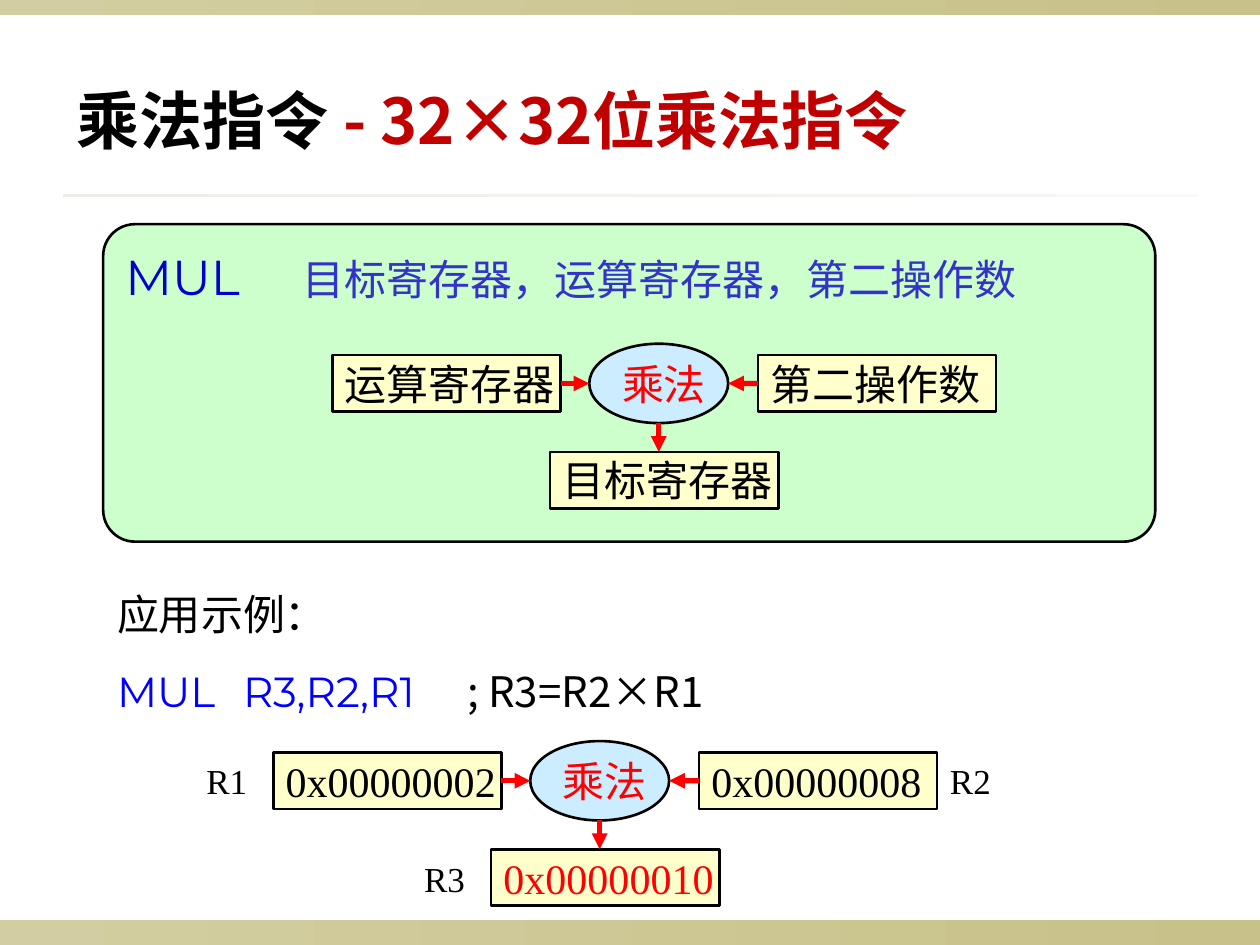
from pptx import Presentation
from pptx import util as u
from pptx.dml import color
from pptx.enum import shapes, text
from pptx.oxml import xmlchemy as x
from lxml import etree

Cm, Pt = u.Cm, u.Pt
A = "{http://schemas.openxmlformats.org/drawingml/2006/main}"
SANS, SERIF, LATIN = "Noto Sans CJK SC", "Times New Roman", "Montserrat"
COLORS = {
    "band_start": "D3CEA1", "band_end": "C8C18A",
    "rule_start": "EEECE6", "rule_end": "F8F7F5",
    "black": "000000", "title_red": "C00000", "red": "FF0000",
    "panel": "CCFFCC", "box": "FFFFCC", "oval": "CCECFF",
    "mnemonic": "0000CC", "operands": "3333CC", "code": "0000FF",
}


def rgb(name):
    return color.RGBColor.from_string(COLORS[name])


def sub(parent, tag, **attrs):
    return etree.SubElement(parent, A + tag, attrs)


def add_run(p, words, size, font, ink, bold=False):
    r = p.add_run()
    r.text = words
    r.font.size, r.font.name, r.font.bold = Pt(size), font, bold
    r.font.color.rgb = rgb(ink)
    sub(r._r.get_or_add_rPr(), "ea", typeface=SANS)


def set_tabs(p, *stops):
    tabs = sub(p._p.get_or_add_pPr(), "tabLst")
    for stop in stops:
        sub(tabs, "tab", pos=str(Cm(stop)), algn="l")


def set_frame(tf, anchor=text.MSO_ANCHOR.TOP, wrap=True):
    tf.word_wrap = wrap
    tf.auto_size = text.MSO_AUTO_SIZE.NONE
    tf.vertical_anchor = anchor
    tf.margin_left = tf.margin_right = Cm(0.25)
    tf.margin_top = tf.margin_bottom = Cm(0.13)
    p = tf.paragraphs[0]
    p.alignment = text.PP_ALIGN.LEFT
    return p


def add_shape(s, kind, box, fill):
    sp = s.shapes.add_shape(kind, *map(Cm, box))
    sp.shadow.inherit = False
    sp.fill.solid()
    sp.fill.fore_color.rgb = rgb(fill)
    sp.line.color.rgb = rgb("black")
    sp.line.width = Pt(1.5)
    return sp


def add_node(s, kind, box, fill, words, ink="black"):
    sp = add_shape(s, kind, box, fill)
    p = set_frame(sp.text_frame, text.MSO_ANCHOR.MIDDLE, wrap=False)
    add_run(p, words, 24, SERIF, ink)
    return sp


def add_text(s, box, anchor=text.MSO_ANCHOR.TOP):
    tf = s.shapes.add_textbox(*map(Cm, box)).text_frame
    return tf, set_frame(tf, anchor)


def add_arrow(s, x1, y1, x2, y2):
    c = s.shapes.add_connector(shapes.MSO_CONNECTOR.STRAIGHT,
                               *map(Cm, (x1, y1, x2, y2)))
    c.line.color.rgb = rgb("red")
    c.line.width = Pt(3)
    sub(c.line._get_or_add_ln(), "tailEnd", type="triangle")
    sub(c._element.spPr, "effectLst")
    return c


def add_band(s, box, name):
    sp = s.shapes.add_shape(shapes.MSO_SHAPE.RECTANGLE, *map(Cm, box))
    sp.shadow.inherit = False
    sp.line.fill.background()
    sp.fill.gradient()
    sp.fill.gradient_angle = 0
    for stop, end in zip(sp.fill.gradient_stops, ("start", "end")):
        stop.color.rgb = rgb(f"{name}_{end}")


def add_title(s, box):
    sp = s.shapes.title
    sp.left, sp.top, sp.width, sp.height = map(Cm, box)
    p = set_frame(sp.text_frame)
    add_run(p, "乘法指令 ", 36, "Arial", "black", True)
    add_run(p, "- 32×32位乘法指令", 36, SANS, "title_red", True)


def add_multiply(s, left, top, first, second, result, result_ink="black"):
    """Two operands feed the oval, which feeds the result below."""
    rect, oval = shapes.MSO_SHAPE.RECTANGLE, shapes.MSO_SHAPE.OVAL
    mid = top + 0.8
    ax, aw = left + 5.18, 2.8
    a = add_node(s, rect, (left, top + 0.23, 4.6, 1.14), "box", first)
    b = add_node(s, rect, (left + 8.58, top + 0.23, 4.8, 1.14), "box", second)
    add_node(s, oval, (ax, top, aw, 1.6), "oval", "乘法", "red")
    add_node(s, rect, (left + 4.39, top + 2.18, 4.6, 1.14), "box",
             result, result_ink)
    add_arrow(s, left + 4.6, mid, ax, mid).begin_connect(a, 3)
    add_arrow(s, left + 8.58, mid, ax + aw, mid).begin_connect(b, 1)
    add_arrow(s, ax + aw / 2, top + 1.6, ax + aw / 2, top + 2.18)


def add_syntax_panel(s, left, top, width, height):
    panel = add_shape(s, shapes.MSO_SHAPE.ROUNDED_RECTANGLE,
                      (left, top, width, height), "panel")
    panel.adjustments[0] = 0.1
    _, p = add_text(s, (left + 0.2, top + 0.31, width - 0.2, 1.45))
    set_tabs(p, 3.56)
    add_run(p, "MUL\t", 28, LATIN, "mnemonic")
    add_run(p, "目标寄存器，运算寄存器，第二操作数", 24, SANS, "operands")
    add_multiply(s, left + 4.62, top + 2.41,
                 "运算寄存器", "第二操作数", "目标寄存器")


def add_example(s, left, top, width):
    # Code line
    tf, p = add_text(s, (left, top, width, 2.82))
    add_run(p, "应用示例：", 24, LATIN, "black")
    p = tf.add_paragraph()
    p.space_before = Pt(15)
    set_tabs(p, 2.54, 7.06)
    add_run(p, "MUL\tR3,R2,R1\t", 24, LATIN, "code")
    add_run(p, "; R3=R2×R1", 24, "Noto Sans CJK JP", "black")

    # Register values and their names
    x0, y0 = left + 3.4, top + 3.2
    add_multiply(s, x0, y0, "0x00000002", "0x00000008", "0x00000010", "red")
    for name, dx, dy in (("R1", -1.6, 0.2), ("R2", 13.39, 0.2),
                         ("R3", 2.79, 2.18)):
        _, p = add_text(s, (x0 + dx, y0 + dy, 1.8, 1.19),
                        text.MSO_ANCHOR.MIDDLE)
        add_run(p, name, 20, SERIF, "black")


def main():
    prs = Presentation()
    prs.slide_width, prs.slide_height = Cm(25.4), Cm(19.05)
    s = prs.slides.add_slide(prs.slide_layouts[5])
    # Bands and rule
    add_band(s, (0, 18.54, 25.4, 0.51), "band")
    add_band(s, (0, 0, 25.4, 0.3), "band")
    add_band(s, (1.27, 3.91, 22.86, 0.06), "rule")
    # Content
    add_title(s, (1.3, 1.52, 18.8, 1.78))
    add_syntax_panel(s, 2.08, 4.52, 21.21, 6.4)
    add_example(s, 2.11, 11.74, 21.8)
    prs.save("out.pptx")


if __name__ == "__main__":
    main()
